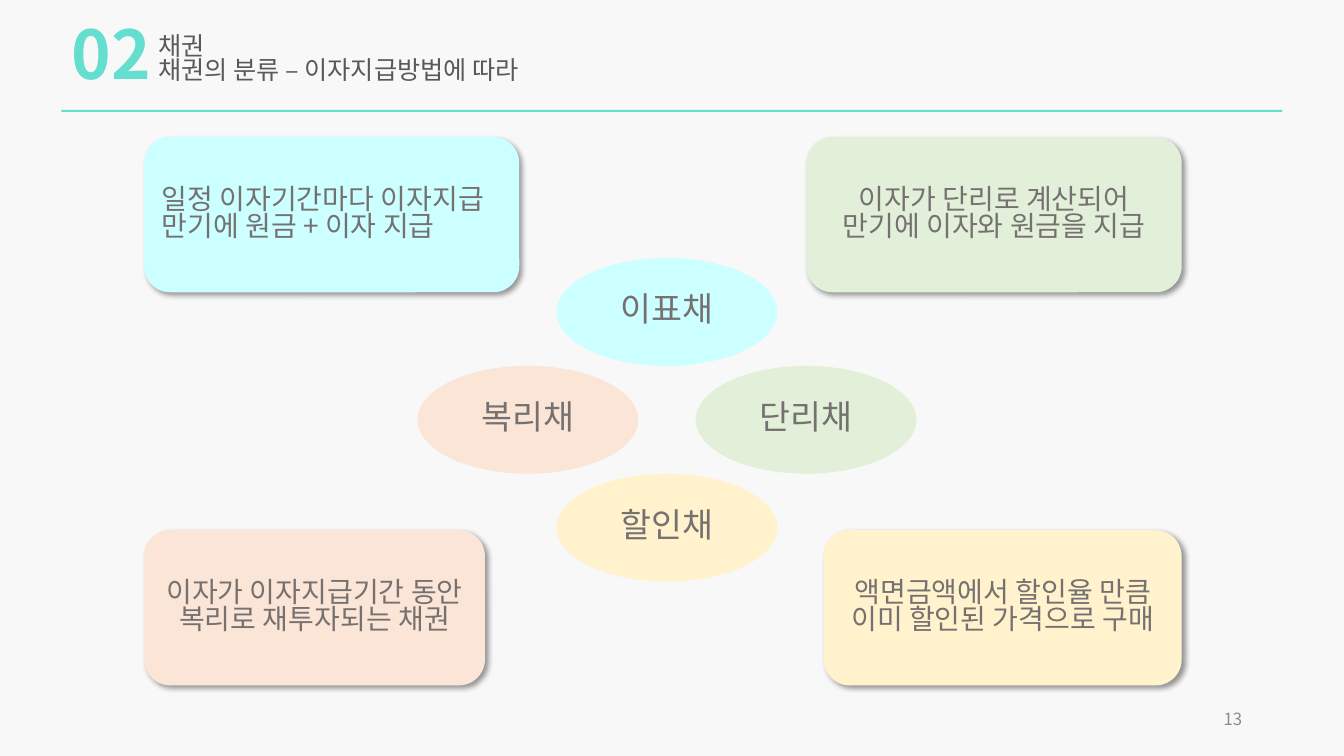
from pptx import Presentation
from pptx.dml.color import RGBColor
from pptx.enum import shapes, text
from pptx.oxml import parse_xml
from pptx.oxml.ns import nsdecls, qn
from pptx.util import Inches, Pt

# Content
SECTION_NUMBER = "02"
HEADING = ["채권", "채권의 분류 – 이자지급방법에 따라"]
PAGE_NUMBER = "13"
# name, fill, ellipse step (x, y), card side, card row, card width, alignment, description
BONDS = [
    ("이표채", "CCFFFF", (0, -1), "left", 0, 3.72, "left",
     ["일정 이자기간마다 이자지급", "만기에 원금 + 이자 지급"]),
    ("단리채", "E2F0D9", (1, 0), "right", 0, 3.72, "center",
     ["이자가 단리로 계산되어", "만기에 이자와 원금을 지급"]),
    ("복리채", "FBE5D6", (-1, 0), "left", 1, 3.38, "center",
     ["이자가 이자지급기간 동안", "복리로 재투자되는 채권"]),
    ("할인채", "FFF2CC", (0, 1), "right", 1, 3.55, "center",
     ["액면금액에서 할인율 만큼", "이미 할인된 가격으로 구매"]),
]

THEME = {
    "font": "Noto Sans CJK KR", "line_spacing": 0.82,
    "background": "F8F8F8", "accent": "64DECF",
    "heading": "595959", "body": "767171", "page": "8C8C8C",
    "number_size": 48, "heading_size": 18, "name_size": 24,
    "card_size": 20, "page_size": 12,
}
ALIGN = {"left": text.PP_ALIGN.LEFT, "center": text.PP_ALIGN.CENTER,
         "right": text.PP_ALIGN.RIGHT}

# Layout, in inches
CENTER_X, CENTER_Y = 6.615, 4.165
STEP_X, STEP_Y = 1.38, 1.07
OVAL_W, OVAL_H = 2.19, 1.07
CARDS_LEFT, CARDS_RIGHT = 1.43, 11.72
CARD_TOP, CARD_STEP, CARD_H = 1.36, 3.9, 1.54

prs = Presentation()
prs.slide_width, prs.slide_height = Inches(13.33), Inches(7.5)
slide = prs.slides.add_slide(prs.slide_layouts[6])
slide.background.fill.solid()
slide.background.fill.fore_color.rgb = RGBColor.from_string(THEME["background"])


def write(shape, lines, size, color, align="left", middle=True, bold=False, wrap=True):
    frame = shape.text_frame
    frame.text = "\n".join(lines)
    frame.word_wrap = wrap
    anchor = text.MSO_ANCHOR
    frame.vertical_anchor = anchor.MIDDLE if middle else anchor.TOP
    for paragraph in frame.paragraphs:
        paragraph.alignment = ALIGN[align]
        paragraph.line_spacing = THEME["line_spacing"]
        for run in paragraph.runs:
            run.font.name = THEME["font"]
            run.font.size = Pt(THEME[size])
            run.font.bold = bold
            run.font.color.rgb = RGBColor.from_string(THEME[color])
            east_asian = parse_xml(f'<a:ea {nsdecls("a")} typeface="{THEME["font"]}"/>')
            run.font._element.find(qn("a:latin")).addnext(east_asian)


def add_label(box, lines, size, color, **style):
    write(slide.shapes.add_textbox(*map(Inches, box)), lines, size, color, **style)


def add_block(kind, box, fill):
    block = slide.shapes.add_shape(kind, *map(Inches, box))
    block.shadow.inherit = False
    block.fill.solid()
    block.fill.fore_color.rgb = RGBColor.from_string(fill)
    block.line.fill.background()
    return block


def add_card_shadow(card):
    card._element.spPr.find(qn("a:effectLst")).append(parse_xml(
        f'<a:outerShdw {nsdecls("a")} blurRad="{Pt(4)}" dist="{Pt(3)}" '
        'dir="2700000" algn="tl" rotWithShape="0">'
        '<a:srgbClr val="000000"><a:alpha val="40000"/></a:srgbClr></a:outerShdw>'))


# Header
add_block(shapes.MSO_SHAPE.RECTANGLE, (0.61, 1.09, 12.11, 0.02), THEME["accent"])
add_label((1.47, 0.3, 4.27, 0.71), HEADING, "heading_size", "heading", middle=False)
add_label((0.61, 0.21, 1.04, 0.91), [SECTION_NUMBER], "number_size", "accent",
          middle=False, bold=True, wrap=False)

# Bond types and their descriptions
for name, fill, (dx, dy), side, row, width, align, description in BONDS:
    oval_box = (CENTER_X + dx * STEP_X - OVAL_W / 2,
                CENTER_Y + dy * STEP_Y - OVAL_H / 2, OVAL_W, OVAL_H)
    oval = add_block(shapes.MSO_SHAPE.OVAL, oval_box, fill)
    write(oval, [name], "name_size", "body", align="center")

    left = CARDS_LEFT if side == "left" else CARDS_RIGHT - width
    card = add_block(shapes.MSO_SHAPE.ROUNDED_RECTANGLE,
                     (left, CARD_TOP + row * CARD_STEP, width, CARD_H), fill)
    add_card_shadow(card)
    write(card, description, "card_size", "body", align=align)

# Page number
add_label((9.42, 6.95, 3, 0.4), [PAGE_NUMBER], "page_size", "page", align="right")

prs.save("out.pptx")
